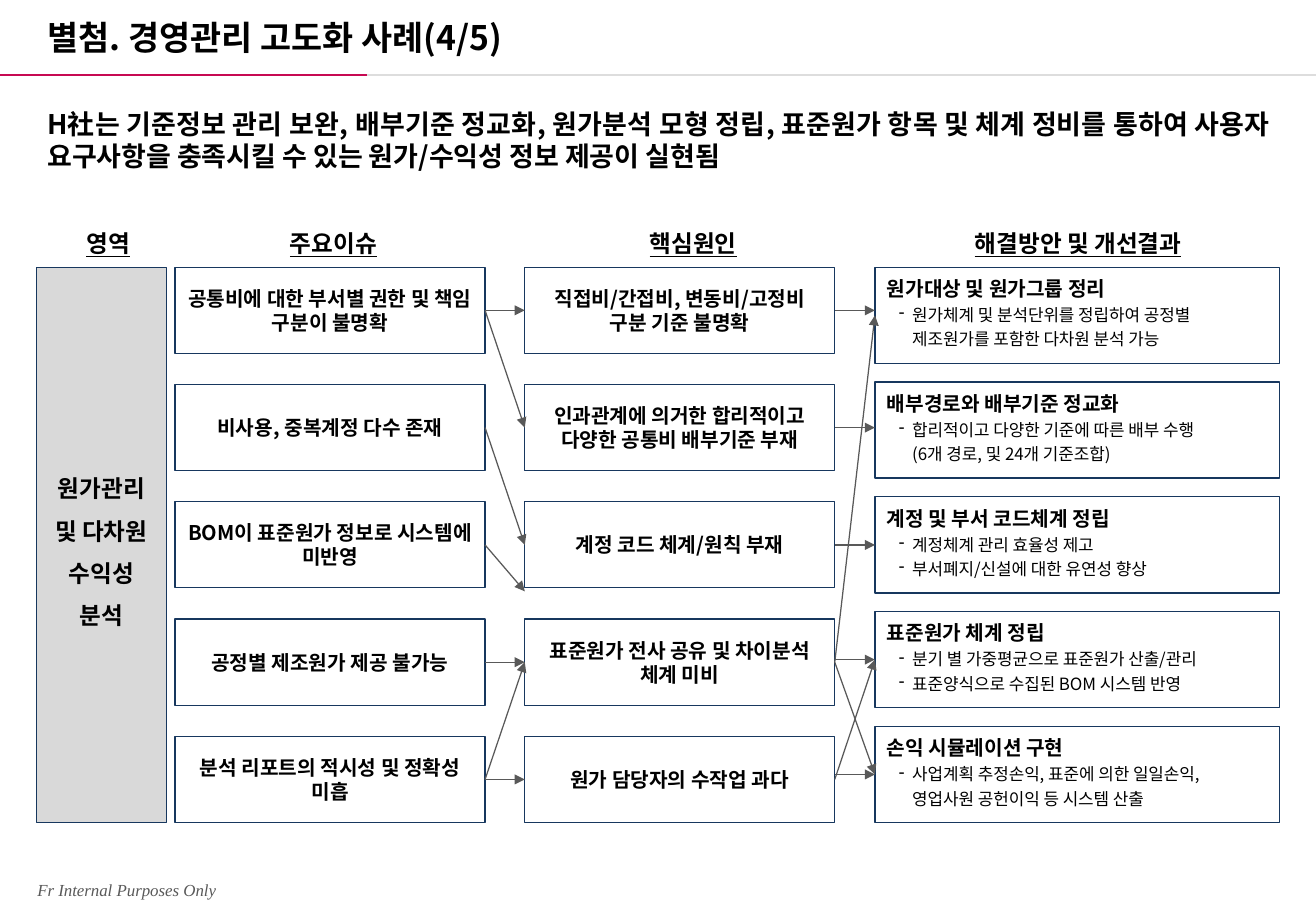
import pptx
import pptx.util
import pptx.dml.color
import pptx.enum.shapes
import pptx.enum.text
import pptx.oxml.ns
import lxml.etree

Cm, Pt = pptx.util.Cm, pptx.util.Pt
ALIGN, ANCHOR = pptx.enum.text.PP_ALIGN, pptx.enum.text.MSO_ANCHOR
COLORS = {"text": "000000", "muted": "595959", "border": "17375E", "white": "FFFFFF",
          "area": "D9D9D9", "accent": "C70952", "rule": "DDDDDD"}
KOREAN = "Noto Sans CJK KR"

BOX_TOP, BOX_BOTTOM = 5.59, 17.2
AREA = (0.76, 2.72)  # left, width
ISSUES = (3.66, 6.48)
CAUSES = (10.97, 6.48)
RESULTS = (18.29, 8.46)
CARD_HEIGHT, RESULT_HEIGHT = 1.8, 2.01

HEADERS = [("영역", 1.32, 1.88), ("주요이슈", 4.72, 4.5),
           ("핵심원인", 12.24, 4.5), ("해결방안 및 개선결과", 19.43, 6.22)]
ISSUE_TEXTS = ["공통비에 대한 부서별 권한 및 책임 구분이 불명확", "비사용, 중복계정 다수 존재",
               "BOM이 표준원가 정보로 시스템에 미반영", "공정별 제조원가 제공 불가능",
               "분석 리포트의 적시성 및 정확성 미흡"]
CAUSE_TEXTS = ["직접비/간접비, 변동비/고정비 구분 기준 불명확",
               "인과관계에 의거한 합리적이고 다양한 공통비 배부기준 부재",
               "계정 코드 체계/원칙 부재", "표준원가 전사 공유 및 차이분석 체계 미비",
               "원가 담당자의 수작업 과다"]
RESULT_TEXTS = [
    ("원가대상 및 원가그룹 정리",
     ["원가체계 및 분석단위를 정립하여 공정별\v제조원가를 포함한 다차원 분석 가능"]),
    ("배부경로와 배부기준 정교화",
     ["합리적이고 다양한 기준에 따른 배부 수행\v(6개 경로, 및 24개 기준조합)"]),
    ("계정 및 부서 코드체계 정립",
     ["계정체계 관리 효율성 제고", "부서폐지/신설에 대한 유연성 향상"]),
    ("표준원가 체계 정립",
     ["분기 별 가중평균으로 표준원가 산출/관리", "표준양식으로 수집된 BOM 시스템 반영"]),
    ("손익 시뮬레이션 구현",
     ["사업계획 추정손익, 표준에 의한 일일손익,\v영업사원 공헌이익 등 시스템 산출"]),
]
# from row, to row, drop below the target's centre
ISSUE_LINKS = [(0, 0, 0), (0, 1, 0), (1, 2, 0), (2, 2, 0.97), (3, 3, 0), (4, 4, 0), (4, 3, 0)]
CAUSE_LINKS = [(0, 0, 0), (1, 1, 0), (2, 2, 0), (3, 3, 0), (3, 4, 0), (4, 3, 0), (4, 4, 0),
               (3, 0, 0)]


def rgb(name):
    return pptx.dml.color.RGBColor.from_string(COLORS[name])


def add_xml(parent, tag, **attributes):
    return lxml.etree.SubElement(parent, pptx.oxml.ns.qn(tag), attributes)


def write(paragraph, text, size, color="text", name=KOREAN, align=ALIGN.LEFT,
          spacing=None, **font_values):
    paragraph.text = text
    paragraph_values = {"alignment": align, "space_before": Pt(0), "space_after": Pt(0),
                        "line_spacing": Pt(spacing or round(size * 1.185, 1))}
    for key, value in paragraph_values.items():
        setattr(paragraph, key, value)
    for run in paragraph.runs:
        run.font.color.rgb = rgb(color)
        for key, value in {"size": Pt(size), "name": name, **font_values}.items():
            setattr(run.font, key, value)
        add_xml(run.font._element, "a:ea", typeface=name)


def set_frame(shape, anchor=ANCHOR.TOP, top=0.13):
    frame = shape.text_frame
    values = {"word_wrap": True, "auto_size": pptx.enum.text.MSO_AUTO_SIZE.NONE,
              "vertical_anchor": anchor, "margin_left": Cm(0.25), "margin_right": Cm(0.25),
              "margin_top": Cm(top), "margin_bottom": Cm(0.13)}
    for key, value in values.items():
        setattr(frame, key, value)
    return frame


def add_text(slide, box, text, size, **style):
    shape = slide.shapes.add_textbox(*map(Cm, box))
    write(set_frame(shape).paragraphs[0], text, size, **style)


def add_box(slide, box, fill="white"):
    shape = slide.shapes.add_shape(pptx.enum.shapes.MSO_SHAPE.RECTANGLE, *map(Cm, box))
    shape.shadow.inherit = False
    shape.fill.solid()
    shape.fill.fore_color.rgb = rgb(fill)
    shape.line.color.rgb = rgb("border")
    shape.line.width = Pt(0.75)
    return shape


def add_line(slide, start, end, color, width, arrow=False):
    line = slide.shapes.add_connector(pptx.enum.shapes.MSO_CONNECTOR.STRAIGHT,
                                      *map(Cm, (*start, *end)))
    line.line.color.rgb = rgb(color)
    line.line.width = Pt(width)
    if arrow:
        add_xml(line.line._get_or_add_ln(), "a:tailEnd", type="triangle")
    add_xml(line._element.spPr, "a:effectLst")


def row_tops(height):
    """Spread five boxes evenly over the height of the diagram."""
    step = (BOX_BOTTOM - BOX_TOP - height) / 4
    return [BOX_TOP + row * step for row in range(5)]


def add_title_band(slide, width):
    title = slide.shapes.title
    for key, value in zip(("left", "top", "width", "height"), (0.74, 0.18, 15.04, 1.14)):
        setattr(title, key, Cm(value))
    write(set_frame(title, ANCHOR.BOTTOM).paragraphs[0], "별첨. 경영관리 고도화 사례(4/5)",
          20, bold=True)
    add_line(slide, (0, 1.57), (7.67, 1.57), "accent", 1.5)
    add_line(slide, (7.67, 1.57), (width, 1.57), "rule", 1.5)


def add_area(slide, box):
    frame = set_frame(add_box(slide, box, "area"), ANCHOR.MIDDLE)
    write(frame.paragraphs[0], "원가관리 및 다차원 수익성 분석", 14, align=ALIGN.CENTER,
          spacing=25, bold=True)


def add_cards(slide, column, texts):
    left, width = column
    for top, text in zip(row_tops(CARD_HEIGHT), texts):
        shape = add_box(slide, (left, top, width, CARD_HEIGHT))
        write(set_frame(shape, ANCHOR.MIDDLE).paragraphs[0], text, 12,
              align=ALIGN.CENTER, bold=True)


def add_results(slide, column):
    left, width = column
    for top, (heading, details) in zip(row_tops(RESULT_HEIGHT), RESULT_TEXTS):
        frame = set_frame(add_box(slide, (left, top, width, RESULT_HEIGHT)), top=0.1)
        write(frame.paragraphs[0], heading, 12, spacing=17, bold=True)
        for detail in details:
            paragraph = frame.add_paragraph()
            write(paragraph, detail, 10, spacing=14.4, bold=False)
            properties = paragraph._element.get_or_add_pPr()
            properties.set("marL", str(Cm(0.53)))
            properties.set("indent", str(-Cm(0.28)))
            add_xml(properties, "a:buChar", char="-")


def add_links(slide, source, target, target_height, links):
    start_x, end_x = sum(source), target[0]
    starts = [top + CARD_HEIGHT / 2 for top in row_tops(CARD_HEIGHT)]
    ends = [top + target_height / 2 for top in row_tops(target_height)]
    for origin, goal, drop in links:
        start_y, end_y = starts[origin], ends[goal] + drop
        if origin == goal and not drop:
            start_y = end_y = min(start_y, end_y)
        add_line(slide, (start_x, start_y), (end_x, end_y), "muted", 0.75, arrow=True)


def main():
    presentation = pptx.Presentation()
    presentation.slide_width, presentation.slide_height = Cm(27.51), Cm(19.05)
    slide = presentation.slides.add_slide(presentation.slide_layouts[5])
    add_title_band(slide, 27.51)
    add_text(slide, (0.74, 2.13, 26.06, 1.7),
             "H社는 기준정보 관리 보완, 배부기준 정교화, 원가분석 모형 정립, 표준원가 항목 및 체계 정비를 "
             "통하여 사용자 요구사항을 충족시킬 수 있는 원가/수익성 정보 제공이 실현됨",
             16, align=ALIGN.JUSTIFY, bold=True)
    for text, left, width in HEADERS:
        add_text(slide, (left, 4.67, width, 0.86), text, 14, align=ALIGN.CENTER,
                 bold=True, underline=True)
    add_area(slide, (AREA[0], BOX_TOP, AREA[1], BOX_BOTTOM - BOX_TOP))
    add_cards(slide, ISSUES, ISSUE_TEXTS)
    add_cards(slide, CAUSES, CAUSE_TEXTS)
    add_results(slide, RESULTS)
    add_links(slide, ISSUES, CAUSES, CARD_HEIGHT, ISSUE_LINKS)
    add_links(slide, CAUSES, RESULTS, RESULT_HEIGHT, CAUSE_LINKS)
    add_text(slide, (0.53, 18.26, 6.81, 0.69), "Fr Internal Purposes Only", 10,
             color="muted", name="Times New Roman", italic=True)
    presentation.save("out.pptx")


if __name__ == "__main__":
    main()
